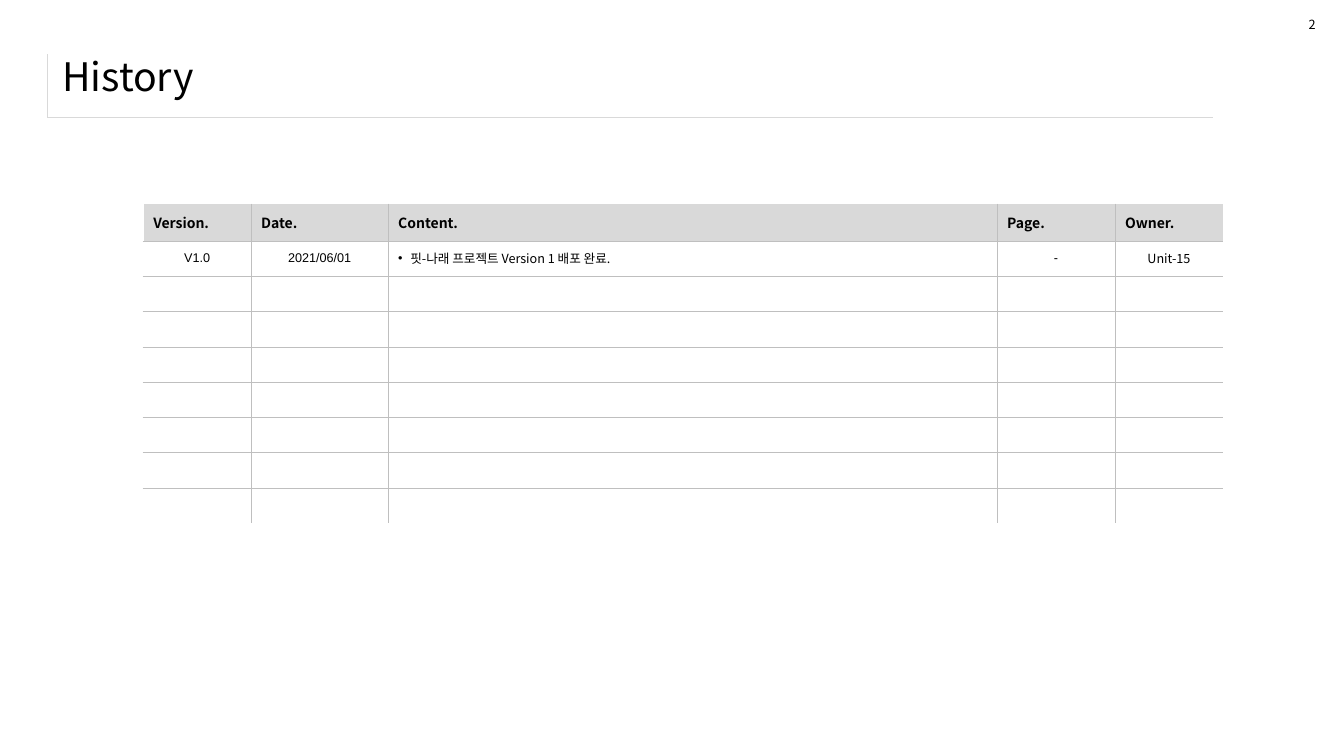
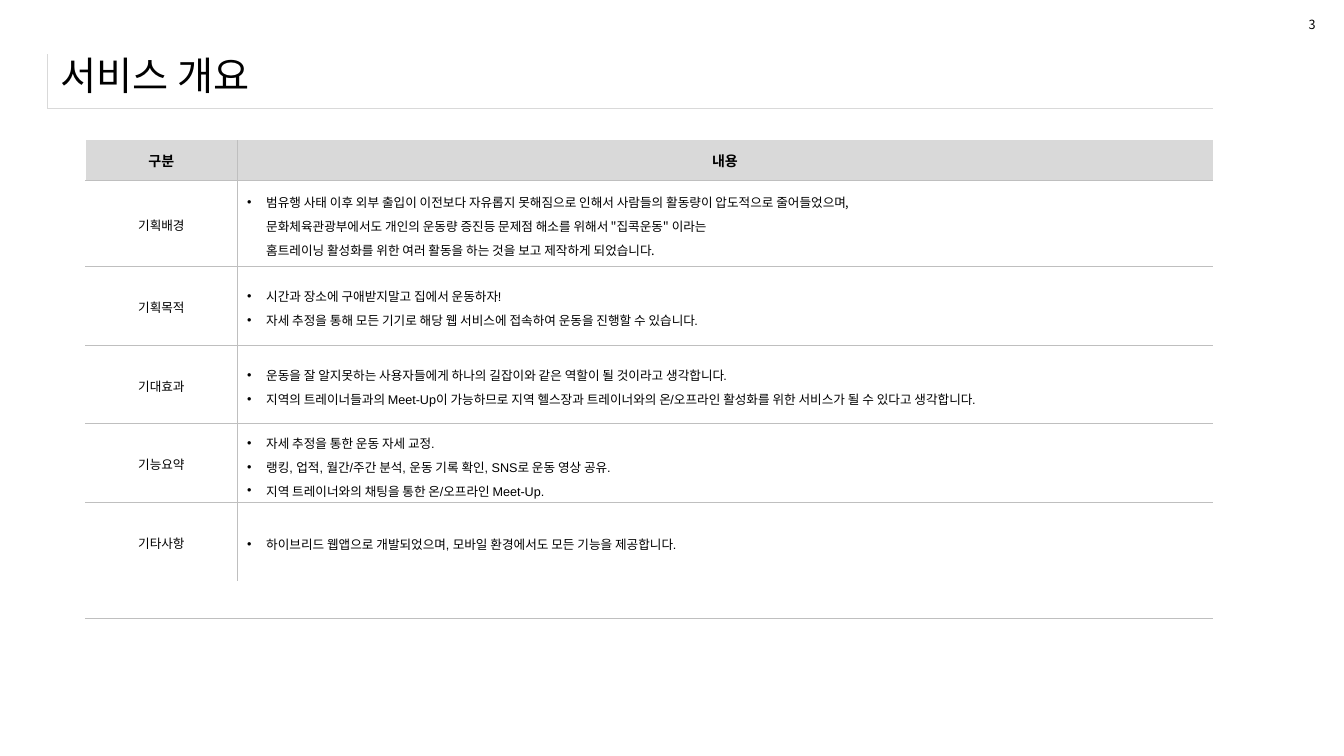
from dataclasses import dataclass

from lxml import etree
from pptx import Presentation
from pptx.dml.color import RGBColor
from pptx.enum.text import MSO_ANCHOR, PP_ALIGN
from pptx.oxml.ns import qn
from pptx.util import Inches, Pt


@dataclass(frozen=True)
class Theme:
    text: str = "000000"
    paper: str = "FFFFFF"
    header: str = "D9D9D9"
    rule: str = "BFBFBF"
    korean: str = "Noto Sans CJK KR"
    latin: str = "Arial"
    title: int = 28
    heading: int = 10
    body: int = 9
    blank: int = 1


@dataclass(frozen=True)
class Entry:
    lines: tuple = ()
    font: str = Theme.latin
    align: PP_ALIGN = PP_ALIGN.CENTER
    spacing: float = 1.0
    indent: float = 0
    size: int = Theme.body
    bold: bool = False
    fill: str = ""


THEME = Theme()
NO_GRID_STYLE = "{2D5ABB26-0587-4C30-8999-92F81FD0307C}"
EDGE_TAGS = {"left": "a:lnL", "right": "a:lnR", "top": "a:lnT", "bottom": "a:lnB"}
THIN = (THEME.rule, 0.25)
HIDDEN = (THEME.paper, 1)
FRAME_RULE = (THEME.header, 0.25)


def write_line(paragraph, text, size, font, bold=False):
    paragraph.text = text
    for run in paragraph.runs:
        run.font.size = Pt(size)
        run.font.name = font
        run.font.bold = bold
        run.font.color.rgb = RGBColor.from_string(THEME.text)
        latin = run.font._element.find(qn("a:latin"))
        latin.addnext(latin.makeelement(qn("a:ea"), {"typeface": THEME.korean}))
    for line_break in paragraph._p.findall(qn("a:br")):
        etree.SubElement(line_break, qn("a:rPr"), sz=str(size * 100))
    etree.SubElement(paragraph._p, qn("a:endParaRPr"), sz=str(size * 100))


def add_bullet(paragraph, indent):
    properties = paragraph._p.get_or_add_pPr()
    properties.set("marL", str(Inches(indent)))
    properties.set("indent", str(-Inches(indent)))
    etree.SubElement(properties, qn("a:buFont"), typeface=THEME.latin)
    etree.SubElement(properties, qn("a:buChar"), char="•")


def fill_cell(cell, entry, edges):
    cell.vertical_anchor = MSO_ANCHOR.MIDDLE
    frame = cell.text_frame
    for index, text in enumerate(entry.lines or ("",)):
        paragraph = frame.add_paragraph() if index else frame.paragraphs[0]
        paragraph.alignment = entry.align
        paragraph.line_spacing = entry.spacing
        if entry.indent:
            add_bullet(paragraph, entry.indent)
        write_line(paragraph, text, entry.size, entry.font, entry.bold)
    properties = cell._tc.get_or_add_tcPr()
    for side, tag in EDGE_TAGS.items():
        color, width = edges.get(side, (None, 0))
        line = etree.SubElement(properties, qn(tag), w=str(Pt(width)))
        if color:
            solid = etree.SubElement(line, qn("a:solidFill"))
            etree.SubElement(solid, qn("a:srgbClr"), val=color)
        else:
            etree.SubElement(line, qn("a:noFill"))
    if entry.fill:
        cell.fill.solid()
        cell.fill.fore_color.rgb = RGBColor.from_string(entry.fill)
    else:
        cell.fill.background()


def add_grid(slide, left, top, widths, heights):
    shape = slide.shapes.add_table(
        len(heights), len(widths), Inches(left), Inches(top),
        Inches(sum(widths)), Inches(sum(heights)))
    table = shape.table
    table.first_row = table.horz_banding = False
    table._tbl.tblPr.find(qn("a:tableStyleId")).text = NO_GRID_STYLE
    for column, width in zip(table.columns, widths):
        column.width = Inches(width)
    for row, height in zip(table.rows, heights):
        row.height = Inches(height)
    return table


def inner_edges(row, column, columns):
    edges = {"left": THIN if column else HIDDEN, "bottom": THIN}
    if row:
        edges["top"] = THIN
    if column < columns - 1:
        edges["right"] = THIN
    return edges


def add_text(slide, box, text, size, wrap=True, anchor=MSO_ANCHOR.TOP):
    frame = slide.shapes.add_textbox(*map(Inches, box)).text_frame
    frame.word_wrap = wrap
    frame.vertical_anchor = anchor
    write_line(frame.paragraphs[0], text, size, THEME.korean)


def add_page(deck, number, title, title_box, frame_height):
    slide = deck.slides.add_slide(deck.slide_layouts[6])
    title_frame = add_grid(slide, 0.47, 0.54, [11.56], [frame_height])
    fill_cell(title_frame.cell(0, 0), Entry(size=THEME.blank),
              {"left": FRAME_RULE, "bottom": FRAME_RULE})
    add_text(slide, title_box, title, THEME.title, anchor=MSO_ANCHOR.MIDDLE)
    add_text(slide, (12.88, 0.12, 0.27, 0.25), str(number), THEME.body, wrap=False)
    return slide


def heading(text, align):
    return Entry((text,), THEME.korean, align, size=THEME.heading,
                 bold=True, fill=THEME.header)


def add_history(slide, left, top, headings, entries, empty_rows):
    widths = [1.07, 1.36, 6.04, 1.17, 1.07]
    rows = [[heading(text, PP_ALIGN.LEFT) for text in headings], entries]
    rows += [[Entry()] * len(widths)] * empty_rows
    table = add_grid(slide, left, top, widths, [0.37] + [0.35] * (len(rows) - 1))
    for r, row in enumerate(rows):
        for c, entry in enumerate(row):
            edges = inner_edges(r, c, len(widths))
            if r == len(rows) - 1:
                edges["bottom"] = HIDDEN
            fill_cell(table.cell(r, c), entry, edges)


def add_overview(slide, left, top, headings, topics):
    widths = [1.5, 9.68]
    rows = [[heading(text, PP_ALIGN.CENTER) for text in headings]]
    for label, lines, font, align in topics:
        rows.append([Entry((label,), spacing=1.2),
                     Entry(lines, font, align, spacing=1.3, indent=0.19)])
    heights = [0.4, 0.85] + [0.78] * (len(topics) - 1) + [0.37]
    table = add_grid(slide, left, top, widths, heights)
    for r, row in enumerate(rows):
        for c, entry in enumerate(row):
            edges = inner_edges(r, c, len(widths))
            if r == len(rows) - 1:
                del edges["bottom"]
            fill_cell(table.cell(r, c), entry, edges)
    closing = len(rows)
    table.cell(closing, 0).merge(table.cell(closing, 1))
    fill_cell(table.cell(closing, 0), Entry(), {"left": HIDDEN, "bottom": THIN})
    fill_cell(table.cell(closing, 1), Entry(), {"bottom": THIN})


HISTORY_HEADINGS = ["Version.", "Date.", "Content.", "Page.", "Owner."]
FIRST_RELEASE = [
    Entry(("V1.0",)),
    Entry(("2021/06/01",)),
    Entry(("핏-나래 프로젝트 Version 1 배포 완료.",), THEME.korean,
          PP_ALIGN.LEFT, indent=0.12),
    Entry(("-",)),
    Entry(("Unit-15",), THEME.korean),
]
TOPICS = [
    ("기획배경", (
        "범유행 사태 이후 외부 출입이 이전보다 자유롭지 못해짐으로 인해서 "
        "사람들의 활동량이 압도적으로 줄어들었으며, \n"
        "문화체육관광부에서도 개인의 운동량 증진등 문제점 해소를 위해서 "
        "\"집콕운동\" 이라는 \n"
        "홈트레이닝 활성화를 위한 여러 활동을 하는 것을 보고 제작하게 되었습니다.",
    ), THEME.korean, PP_ALIGN.LEFT),
    ("기획목적", (
        "시간과 장소에 구애받지말고 집에서 운동하자!",
        "자세 추정을 통해 모든 기기로 해당 웹 서비스에 접속하여 운동을 진행할 수 있습니다.",
    ), THEME.latin, PP_ALIGN.JUSTIFY),
    ("기대효과", (
        "운동을 잘 알지못하는 사용자들에게 하나의 길잡이와 같은 역할이 될 것이라고 생각합니다.",
        "지역의 트레이너들과의 Meet-Up이 가능하므로 지역 헬스장과 트레이너와의 "
        "온/오프라인 활성화를 위한 서비스가 될 수 있다고 생각합니다.",
    ), THEME.latin, PP_ALIGN.JUSTIFY),
    ("기능요약", (
        "자세 추정을 통한 운동 자세 교정.",
        "랭킹, 업적, 월간/주간 분석, 운동 기록 확인, SNS로 운동 영상 공유.",
        "지역 트레이너와의 채팅을 통한 온/오프라인 Meet-Up.",
    ), THEME.latin, PP_ALIGN.JUSTIFY),
    ("기타사항", (
        "하이브리드 웹앱으로 개발되었으며, 모바일 환경에서도 모든 기능을 제공합니다.",
    ), THEME.latin, PP_ALIGN.JUSTIFY),
]

deck = Presentation()
deck.slide_width, deck.slide_height = Inches(13.33), Inches(7.5)

history = add_page(deck, 2, "History", (0.52, 0.44, 12.49, 0.63), 0.62)
add_history(history, 1.42, 2.02, HISTORY_HEADINGS, FIRST_RELEASE, 7)

overview = add_page(deck, 3, "서비스 개요", (0.5, 0.41, 12.49, 0.67), 0.53)
add_overview(overview, 0.85, 1.39, ["구분", "내용"], TOPICS)

deck.save("out.pptx")
